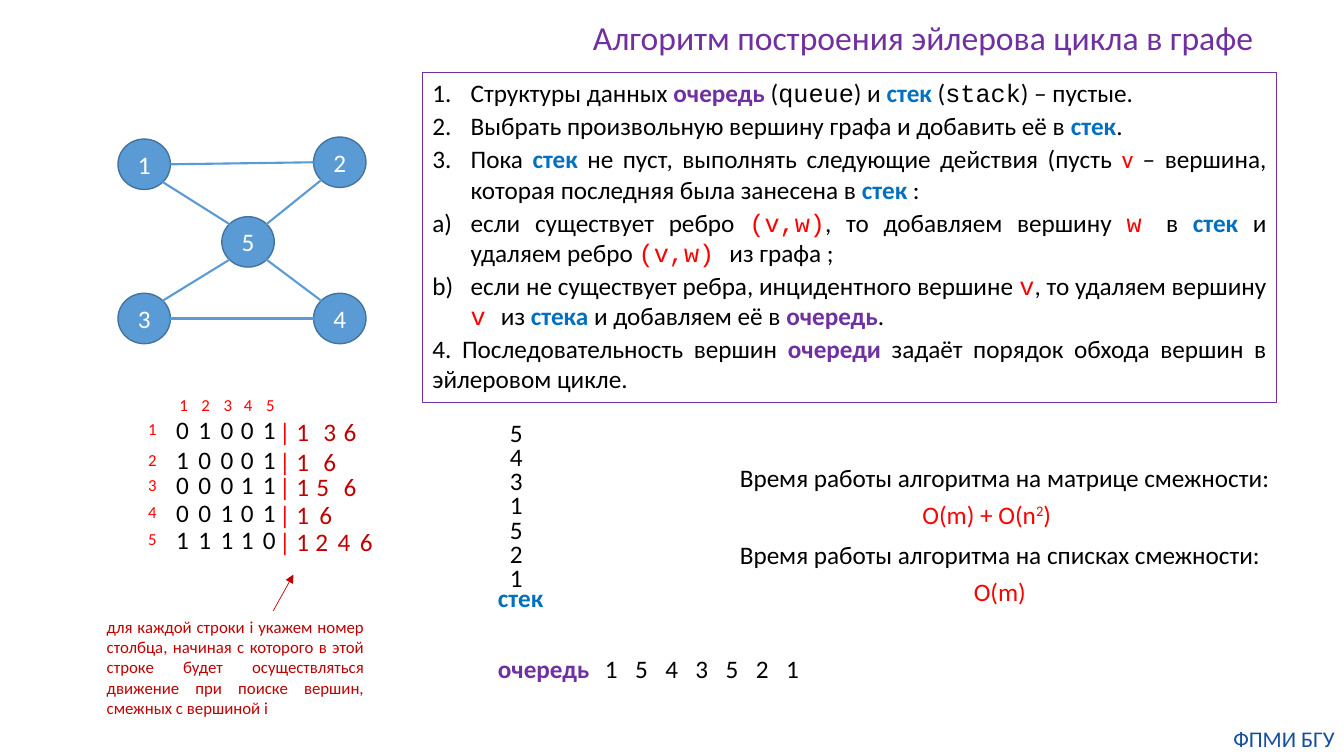
"""Builds a slide on constructing an Euler cycle in a graph."""
from dataclasses import dataclass
from lxml import etree
from pptx import Presentation, util as u
from pptx.dml.color import RGBColor
from pptx.enum import shapes, text
from pptx.oxml.ns import qn


@dataclass(frozen=True)
class Theme:
    font: str = "Calibri"
    code: str = "Courier New"
    ink: str = "000000"
    white: str = "FFFFFF"
    red: str = "FF0000"
    dark_red: str = "C00000"
    purple: str = "7030A0"
    blue: str = "0070C0"
    node: str = "5B9BD5"
    node_rim: str = "43739E"
    footer: str = "144E9D"
    title_size: int = 24
    body_size: int = 18
    footer_size: int = 16
    note_size: int = 12


T = Theme()
QUEUE = dict(color=T.purple, bold=True)
STACK = dict(color=T.blue, bold=True)
VERTEX = dict(color=T.red)
CODE = dict(font=T.code)
CODE_VERTEX = dict(font=T.code, color=T.red)

TITLE = "Алгоритм построения эйлерова цикла в графе"
FOOTER = "ФПМИ БГУ"
NOTE = ("для каждой строки i укажем номер столбца, начиная с которого в этой "
        "строке будет осуществляться движение при поиске вершин, смежных с вершиной i")
NUMBER, LETTER = "arabicPeriod", "alphaLcParenR"
STEPS = [
    (NUMBER, ["Структуры данных ", ("очередь", QUEUE), " (", ("queue", CODE), ") и ",
              ("стек ", STACK), "(", ("stack", CODE), ") – пустые."]),
    (NUMBER, ["Выбрать произвольную вершину графа и добавить её в ", ("стек", STACK), "."]),
    (NUMBER, ["Пока ", ("стек", STACK), " не пуст, выполнять следующие действия (пусть ",
              ("v", VERTEX), " – вершина, которая последняя была занесена в ",
              ("стек ", STACK), ":"]),
    (LETTER, ["если существует ребро ", ("(v,w)", CODE_VERTEX), ", то добавляем вершину ",
              ("w ", CODE_VERTEX), "в ", ("стек", STACK), " и удаляем ребро ",
              ("(v,w) ", CODE_VERTEX), "из графа ;"]),
    (LETTER, ["если не существует ребра, инцидентного вершине ", ("v", CODE_VERTEX),
              ", то удаляем вершину ", ("v ", CODE_VERTEX), "из ", ("стека", STACK),
              " и добавляем её в ", ("очередь", QUEUE), "."]),
    (None, ["4. Последовательность вершин ", ("очереди", QUEUE),
            " задаёт порядок обхода вершин в эйлеровом цикле."]),
]
VERTICES = {"1": (1.43, 1.63), "2": (3.37, 1.61), "3": (1.43, 3.16),
            "4": (3.37, 3.16), "5": (2.46, 2.4)}
EDGES = ["15", "25", "12", "53", "54", "34"]
MATRIX = ["01001", "10001", "00011", "00101", "11110"]
MATRIX_COLUMNS = [1.65, 1.87, 2.09, 2.29, 2.51]
MATRIX_ROWS = [4.06, 4.36, 4.61, 4.88, 5.15]
POINTERS = [[("3", 3.11), ("6", 3.31)], [("6", 3.11)], [("5", 3.04), ("6", 3.31)],
            [("6", 3.07)], [("2", 3.03), ("4", 3.25), ("6", 3.47)]]
STACK_VALUES = "5431521"
QUEUE_VALUES = "1543521"
TIMES = [
    (7.24, 4.54, 5.51, "Время работы алгоритма на матрице смежности:", T.ink),
    (9.05, 4.9, 1.55, ["О(m) + О(n", ("2", dict(raised=True)), ")"], T.red),
    (7.24, 5.3, 5.42, "Время работы алгоритма на списках смежности:", T.ink),
    (9.56, 5.67, 0.78, "О(m)", T.red),
]

DIAMETER = (0.52, 0.5)
DIGIT = (0.33, 0.4)
LABEL = (0.29, 0.3)
INDENT = 0.38
STACK_STEP, QUEUE_STEP = 0.24, 0.3

deck = Presentation()
deck.slide_width, deck.slide_height = u.Inches(13.33), u.Inches(7.5)
slide = deck.slides.add_slide(deck.slide_layouts[6])


def write(paragraph, content, size=T.body_size, color=T.ink, bold=False,
          align=text.PP_ALIGN.LEFT, bullet=None, after=None):
    """Fill a paragraph with plain or (text, format) pieces."""
    paragraph.alignment = align
    if after is not None:
        paragraph.space_after = u.Pt(after)
    if bullet:
        props = paragraph._p.get_or_add_pPr()
        props.set("marL", str(u.Inches(INDENT)))
        props.set("indent", str(-u.Inches(INDENT)))
        etree.SubElement(props, qn("a:buFont")).set("typeface", "+mj-lt")
        etree.SubElement(props, qn("a:buAutoNum")).set("type", bullet)
    for piece in [content] if isinstance(content, str) else content:
        words, style = (piece, {}) if isinstance(piece, str) else piece
        run = paragraph.add_run()
        run.text = words
        run.font.size = u.Pt(size)
        run.font.name = style.get("font", T.font)
        run.font.bold = style.get("bold", bold)
        run.font.color.rgb = RGBColor.from_string(style.get("color", color))
        if style.get("raised"):
            run.font._element.set("baseline", "30000")


def put(left, top, width, height, content, wrap=False, inset=None, **form):
    """Place a text box holding one paragraph."""
    frame = slide.shapes.add_textbox(*map(u.Inches, (left, top, width, height))).text_frame
    frame.word_wrap = wrap
    frame.auto_size = text.MSO_AUTO_SIZE.SHAPE_TO_FIT_TEXT
    if inset is not None:
        frame.margin_left = frame.margin_right = u.Inches(inset)
        frame.margin_top = frame.margin_bottom = u.Inches(inset)
    write(frame.paragraphs[0], content, **form)


def outline(kind, left, top, width, height, rim, weight, fill=None):
    """Draw a preset shape and return its text frame."""
    shape = slide.shapes.add_shape(kind, *map(u.Inches, (left, top, width, height)))
    shape.shadow.inherit = False
    if fill:
        shape.fill.solid()
        shape.fill.fore_color.rgb = RGBColor.from_string(fill)
    else:
        shape.fill.background()
    shape.line.color.rgb = RGBColor.from_string(rim)
    shape.line.width = u.Pt(weight)
    shape.text_frame.word_wrap = True
    return shape.text_frame


def connect(start, end, color, weight, arrow=False):
    """Draw a straight line, with an arrowhead at its end if asked."""
    line = slide.shapes.add_connector(shapes.MSO_CONNECTOR.STRAIGHT, *map(u.Inches, (*start, *end)))
    line.line.color.rgb = RGBColor.from_string(color)
    line.line.width = u.Pt(weight)
    if arrow:
        etree.SubElement(line.line._get_or_add_ln(), qn("a:tailEnd")).set("type", "triangle")
    etree.SubElement(line._element.spPr, qn("a:effectLst"))


def rim_point(vertex, toward):
    """Return the rim point of a vertex that faces another one."""
    (x, y), (to_x, to_y) = VERTICES[vertex], VERTICES[toward]
    side = 1 if to_x > x else -1
    if abs(to_y - y) < DIAMETER[1]:
        return x + side * DIAMETER[0] / 2, y
    down = 1 if to_y > y else -1
    return x + side * 0.35 * DIAMETER[0], y + down * 0.35 * DIAMETER[1]


put(5.65, 0.12, 7.01, 0.5, TITLE, wrap=True, size=T.title_size, color=T.purple,
    align=text.PP_ALIGN.CENTER)

for vertex, (x, y) in VERTICES.items():
    disc = outline(shapes.MSO_SHAPE.OVAL, x - DIAMETER[0] / 2, y - DIAMETER[1] / 2, *DIAMETER,
                   T.node_rim, 1, T.node)
    disc.vertical_anchor = text.MSO_ANCHOR.MIDDLE
    write(disc.paragraphs[0], vertex, color=T.white, align=text.PP_ALIGN.CENTER)
for a, b in EDGES:
    connect(rim_point(a, b), rim_point(b, a), T.node, 1.5)

steps = outline(shapes.MSO_SHAPE.RECTANGLE, 4.19, 0.72, 8.47, 3.27, T.purple, 0.75)
steps.vertical_anchor = text.MSO_ANCHOR.TOP
for i, (bullet, step) in enumerate(STEPS):
    write(steps.add_paragraph() if i else steps.paragraphs[0], step, bullet=bullet,
          align=text.PP_ALIGN.JUSTIFY, after=2)

for i, (top, row, pointers) in enumerate(zip(MATRIX_ROWS, MATRIX, POINTERS)):
    number = str(i + 1)
    put(MATRIX_COLUMNS[i] + 0.03, 3.87, *LABEL, number, size=T.note_size, color=T.red)
    put(1.37, top + 0.05, *LABEL, number, size=T.note_size, color=T.red)
    for left, digit in zip(MATRIX_COLUMNS, row):
        put(left, top, *DIGIT, digit)
    put(2.67, top + 0.02, 0.5, 0.4, ["| ", ("1", dict(color=T.dark_red))], color=T.red)
    for digit, left in pointers:
        put(left, top + 0.02, *DIGIT, digit, color=T.dark_red)

for i, (pushed, queued) in enumerate(zip(STACK_VALUES, QUEUE_VALUES)):
    put(4.96, 4.09 + i * STACK_STEP, *DIGIT, pushed)
    put(5.9 + i * QUEUE_STEP, 6.43, *DIGIT, queued)
put(4.84, 5.73, 0.65, 0.4, "стек", **STACK)
put(4.84, 6.43, 1.12, 0.4, "очередь", **QUEUE)

for left, top, width, words, color in TIMES:
    put(left, top, width, 0.4, words, color=color)

put(12.17, 7.19, 1.13, 0.27, FOOTER, wrap=True, inset=0, size=T.footer_size, color=T.footer,
    align=text.PP_ALIGN.CENTER)
put(0.96, 6.07, 2.75, 1.11, NOTE, wrap=True, size=T.note_size, color=T.dark_red,
    align=text.PP_ALIGN.JUSTIFY)
connect((2.71, 6.06), (2.91, 5.7), T.dark_red, 0.5, arrow=True)

deck.save("out.pptx")
